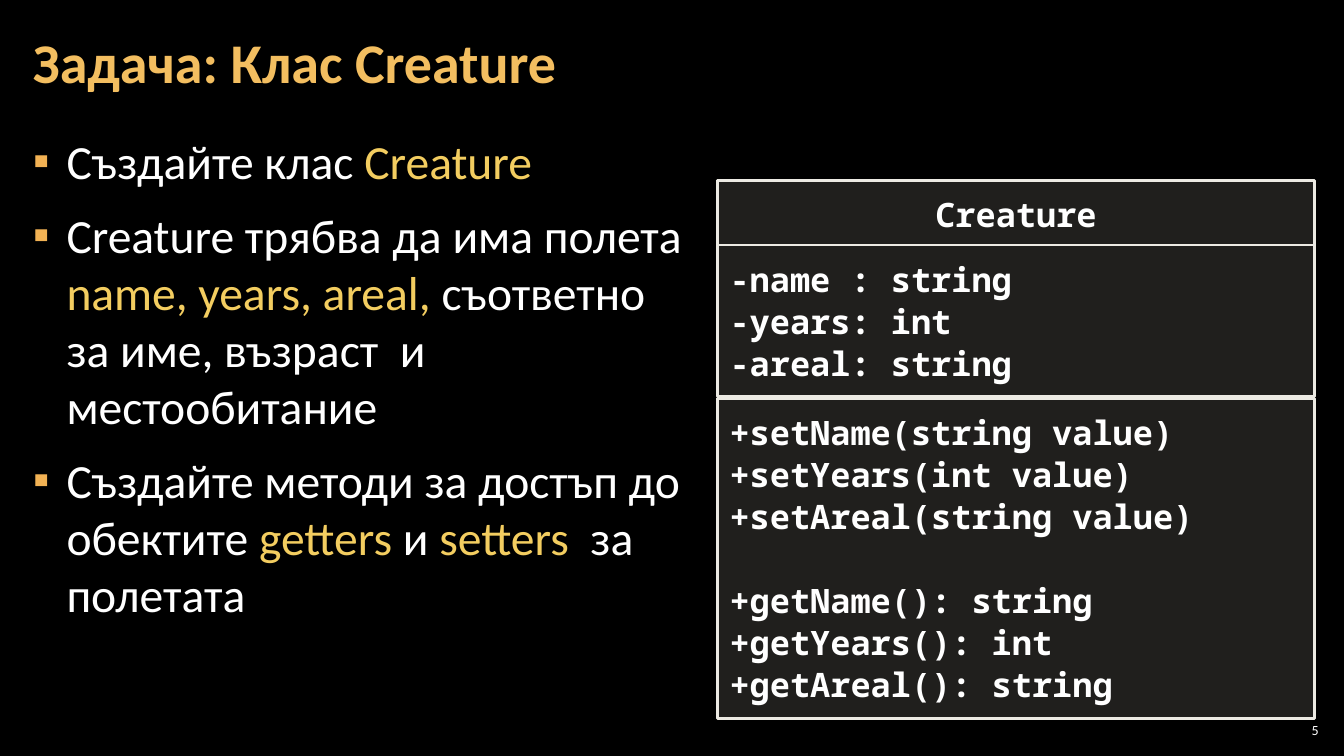
from lxml.etree import SubElement
from pptx import Presentation
from pptx.dml.color import RGBColor
from pptx.enum.shapes import MSO_SHAPE
from pptx.enum.text import MSO_ANCHOR, PP_ALIGN
from pptx.oxml.ns import qn
from pptx.util import Pt

BLACK = RGBColor(0x00, 0x00, 0x00)
WHITE = RGBColor(0xFF, 0xFF, 0xFF)
TITLE_GOLD = RGBColor(0xF3, 0xBE, 0x60)
KEYWORD_GOLD = RGBColor(0xF3, 0xCD, 0x60)
BULLET_GOLD = RGBColor(0xF2, 0xB2, 0x54)
BOX_FILL = RGBColor(0xD9, 0xD5, 0xC7)
BOX_LINE = RGBColor(0xEC, 0xEA, 0xE3)

BODY_FONT = "Calibri"
CODE_FONT = "Noto Sans Mono"
BOX_OPACITY = 15
CODE_LINE = 30

TITLE = "Задача: Клас Creature"
# Each task is a list of (text, is keyword) pieces.
TASKS = [
    [("Създайте клас ", False), ("Creature", True)],
    [("Creature трябва да има полета\n", False),
     ("name, years, areal, ", True),
     ("съответно за име, възраст  и местообитание", False)],
    [("Създайте методи за достъп до обектите ", False), ("getters ", True),
     ("и ", False), ("setters ", True), (" за полетата", False)],
]
CLASS_NAME = ["Creature"]
FIELDS = ["-name : string", "-years: int", "-areal: string"]
SETTERS = ["+setName(string value)", "+setYears(int value)",
           "+setAreal(string value)"]
GETTERS = ["+getName(): string", "+getYears(): int", "+getAreal(): string"]


def write(paragraph, text, size, font=BODY_FONT, color=WHITE, bold=False):
    """Append formatted text; a newline becomes a line break."""
    for index, line in enumerate(text.split("\n")):
        if index:
            paragraph.add_line_break()
        if line:
            run = paragraph.add_run()
            run.text = line
            run.font.size = Pt(size)
            run.font.name = font
            run.font.bold = bold
            run.font.color.rgb = color


def set_frame(frame, anchor, side, top):
    frame.word_wrap = True
    frame.vertical_anchor = anchor
    frame.margin_left = frame.margin_right = Pt(side)
    frame.margin_top = frame.margin_bottom = Pt(top)


def add_text_area(slide, left, top, width, height, anchor=MSO_ANCHOR.TOP,
                  side=8.5, inset=3):
    area = slide.shapes.add_textbox(Pt(left), Pt(top), Pt(width), Pt(height))
    set_frame(area.text_frame, anchor, side, inset)
    return area.text_frame


def paragraphs(frame, count):
    """Return the frame's first paragraph and enough new ones after it."""
    return [frame.paragraphs[0]] + [frame.add_paragraph()
                                    for _ in range(count - 1)]


def add_bullet(paragraph):
    properties = paragraph._p.get_or_add_pPr()
    properties.set("marL", str(Pt(24)))
    properties.set("indent", str(-Pt(24)))
    color = SubElement(properties, qn("a:buClr"))
    SubElement(color, qn("a:srgbClr"), val=str(BULLET_GOLD))
    SubElement(properties, qn("a:buFont"), typeface="Arial")
    SubElement(properties, qn("a:buChar"), char="▪")


def add_tasks(slide):
    frame = add_text_area(slide, 15, 91, 491, 438)
    for paragraph, task in zip(paragraphs(frame, len(TASKS)), TASKS):
        paragraph.space_before = paragraph.space_after = Pt(6)
        add_bullet(paragraph)
        for text, is_keyword in task:
            write(paragraph, text, 34,
                  color=KEYWORD_GOLD if is_keyword else WHITE)


def add_compartment(diagram, top, height, *blocks, align=PP_ALIGN.LEFT):
    """Add one box of the class diagram; blocks are set one line apart."""
    box = diagram.shapes.add_shape(MSO_SHAPE.RECTANGLE, Pt(512.6), Pt(top),
                                   Pt(426.2), Pt(height))
    box.shadow.inherit = False
    box.fill.solid()
    box.fill.fore_color.rgb = BOX_FILL
    fill_color = box._element.spPr.find(f"{qn('a:solidFill')}/{qn('a:srgbClr')}")
    SubElement(fill_color, qn("a:alpha"), val=str(BOX_OPACITY * 1000))
    box.line.color.rgb = BOX_LINE
    box.line.width = Pt(2)

    set_frame(box.text_frame, MSO_ANCHOR.TOP, 8.5, 8.5)
    lines = [(text, block_index > 0 and line_index == 0)
             for block_index, block in enumerate(blocks)
             for line_index, text in enumerate(block)]
    for paragraph, (text, starts_block) in zip(
            paragraphs(box.text_frame, len(lines)), lines):
        paragraph.alignment = align
        paragraph.line_spacing = Pt(CODE_LINE)
        if starts_block:
            paragraph.space_before = Pt(CODE_LINE)
        write(paragraph, text, 24, font=CODE_FONT, bold=True)


def add_class_diagram(slide):
    diagram = slide.shapes.add_group_shape()
    add_compartment(diagram, 129, 46, CLASS_NAME, align=PP_ALIGN.CENTER)
    add_compartment(diagram, 175, 108, FIELDS)
    add_compartment(diagram, 284.5, 229, SETTERS, GETTERS)


def add_title(slide):
    frame = add_text_area(slide, 15, 3, 929.5, 87, MSO_ANCHOR.MIDDLE)
    frame.paragraphs[0].line_spacing = 0.9
    write(frame.paragraphs[0], TITLE, 40, color=TITLE_GOLD, bold=True)


def add_page_number(slide):
    frame = add_text_area(slide, 911, 514, 34, 15, MSO_ANCHOR.MIDDLE, side=3)
    frame.paragraphs[0].alignment = PP_ALIGN.RIGHT
    write(frame.paragraphs[0], "5", 10)


def main():
    presentation = Presentation()
    presentation.slide_width = Pt(960)
    presentation.slide_height = Pt(540)
    slide = presentation.slides.add_slide(presentation.slide_layouts[6])
    slide.background.fill.solid()
    slide.background.fill.fore_color.rgb = BLACK

    add_title(slide)
    add_tasks(slide)
    add_class_diagram(slide)
    add_page_number(slide)
    presentation.save("out.pptx")


if __name__ == "__main__":
    main()
